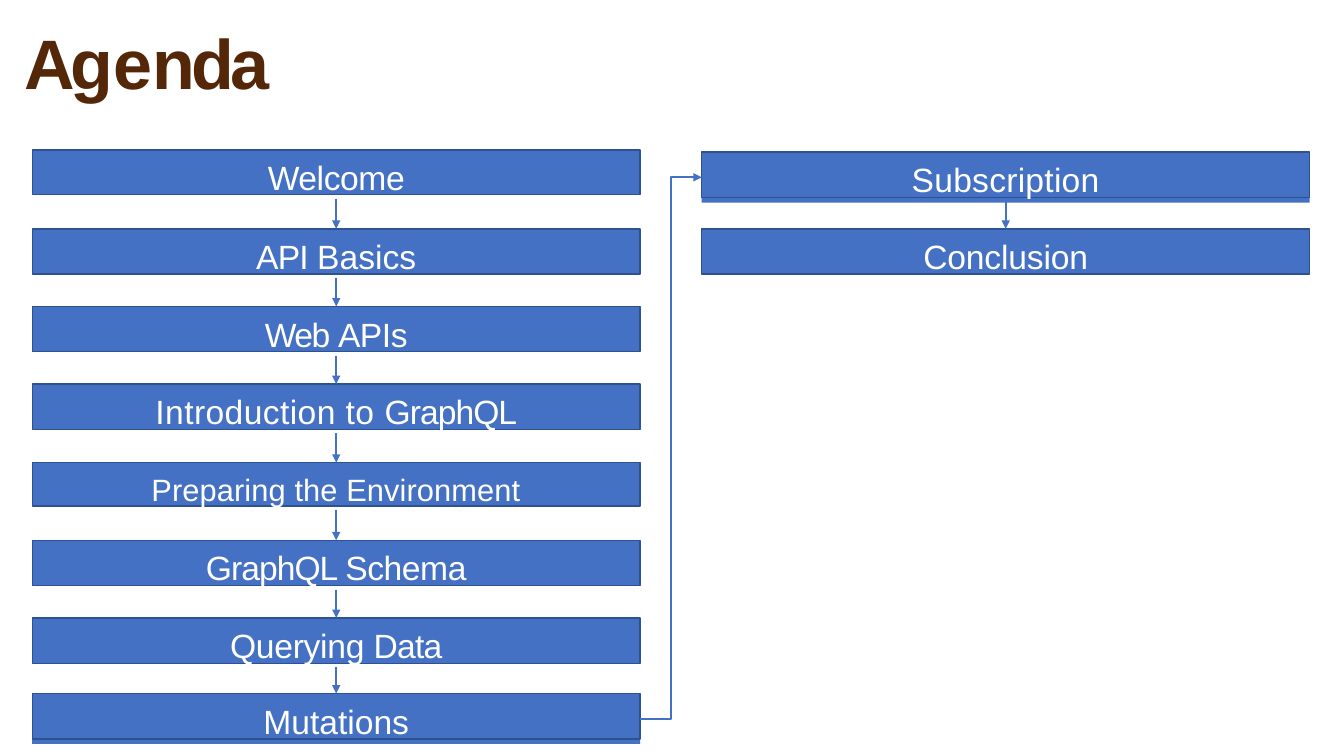
import pptx
import pptx.util
import pptx.dml.color
import pptx.enum.shapes
import pptx.enum.text
import pptx.oxml.ns
from lxml import etree

# Content: each run is (text, letter spacing in hundredths of a point)
TITLE = [("Ag", -300), ("e", -240), ("nda", -250)]
# Each step: column, top, height, font size, backed by a taller bar, runs
STEPS = [
    (0, 149, 44, 24, False, [("Welcome", -30)]),
    (0, 227, 45, 24, False, [("API ", -60), ("Basics", 0)]),
    (0, 304, 45, 24, False, [("Web ", -110), ("APIs", -30)]),
    (0, 381, 45, 24, False, [("Introduction to ", 30), ("GraphQL", -70)]),
    (0, 459, 43, 22, False, [("Preparing the Environment", 10)]),
    (0, 536, 45, 24, False, [("GraphQL ", -70), ("Schema", -30)]),
    (0, 613, 45, 24, False, [("Querying ", -20), ("Data", -50)]),
    (0, 688, 45, 24, True, [("Mutations", 0)]),
    (1, 151, 45, 24, True, [("Subscription", 20)]),
    (1, 227, 45, 24, False, [("Conclusion", -10)]),
]
COLORS = {"title": "532708", "bar": "4471C4", "edge": "2E528F", "text": "FFFFFF"}
FONT = "Arial"

# Layout, 100 px to the inch
PX = 9144
LEFTS = (32, 696)
WIDE = 603
BACK = 50
GAP = 4

Kind = pptx.enum.shapes.MSO_CONNECTOR
Align = pptx.enum.text.PP_ALIGN


def color(name):
    return pptx.dml.color.RGBColor.from_string(COLORS[name])


def write(shape, runs, size, tint, inset, align, bold=False):
    frame = shape.text_frame
    frame.word_wrap = True
    frame.vertical_anchor = pptx.enum.text.MSO_ANCHOR.TOP
    frame.margin_left = frame.margin_right = frame.margin_bottom = 0
    frame.margin_top = inset * PX
    para = frame.paragraphs[0]
    para.alignment = align
    font = para.font
    font.name, font.size, font.bold = FONT, pptx.util.Pt(size), bold
    font.color.rgb = color(tint)
    for text, space in runs:
        run = para.add_run()
        run.text = text
        if space:
            run.font._element.set("spc", str(space))


def add_bar(left, top, high, edge=True):
    bar = slide.shapes.add_shape(
        pptx.enum.shapes.MSO_SHAPE.RECTANGLE,
        left * PX, top * PX, WIDE * PX, high * PX)
    bar.shadow.inherit = False
    bar.fill.solid()
    bar.fill.fore_color.rgb = color("bar")
    if edge:
        bar.line.color.rgb = color("edge")
        bar.line.width = pptx.util.Pt(1)
    else:
        bar.line.fill.background()
    return bar


def add_arrow(kind, start=(0, 0)):
    x, y = start
    arrow = slide.shapes.add_connector(kind, x, y, x, y)
    arrow.line.color.rgb = color("bar")
    arrow.line.width = pptx.util.Pt(1.5)
    line = arrow.line._get_or_add_ln()
    etree.SubElement(line, pptx.oxml.ns.qn("a:tailEnd"),
                     type="triangle", w="med", len="med")
    etree.SubElement(arrow._element.spPr, pptx.oxml.ns.qn("a:effectLst"))
    return arrow


deck = pptx.Presentation()
deck.slide_width, deck.slide_height = 1333 * PX, 750 * PX
slide = deck.slides.add_slide(deck.slide_layouts[6])

# Title
head = slide.shapes.add_textbox(23 * PX, 11 * PX, 567 * PX, 107 * PX)
write(head, TITLE, 50, "title", 8, Align.LEFT, True)
head.text_frame.margin_left = PX

# Step bars, some on a taller bar
bars, backs = [], []
for col, top, high, size, backed, runs in STEPS:
    if backed:
        backs.append(add_bar(LEFTS[col], top, BACK, False))
    bar = add_bar(LEFTS[col], top, high)
    write(bar, runs, size, "text", 7 + (24 - size) // 2, Align.CENTER)
    bars.append(bar)

# Arrows down each column
for step, upper, lower in zip(STEPS, bars, bars[1:]):
    if upper.left != lower.left:
        continue
    mid = upper.left + upper.width // 2
    arrow = add_arrow(Kind.STRAIGHT, (mid, upper.top + upper.height + GAP * PX))
    if step[4]:
        arrow.begin_connect(upper, 2)
    arrow.end_connect(lower, 0)

# Elbow from the first column to the second
elbow = add_arrow(Kind.ELBOW)
elbow.begin_connect(backs[0], 3)
elbow.end_connect(backs[1], 1)

deck.save("out.pptx")
